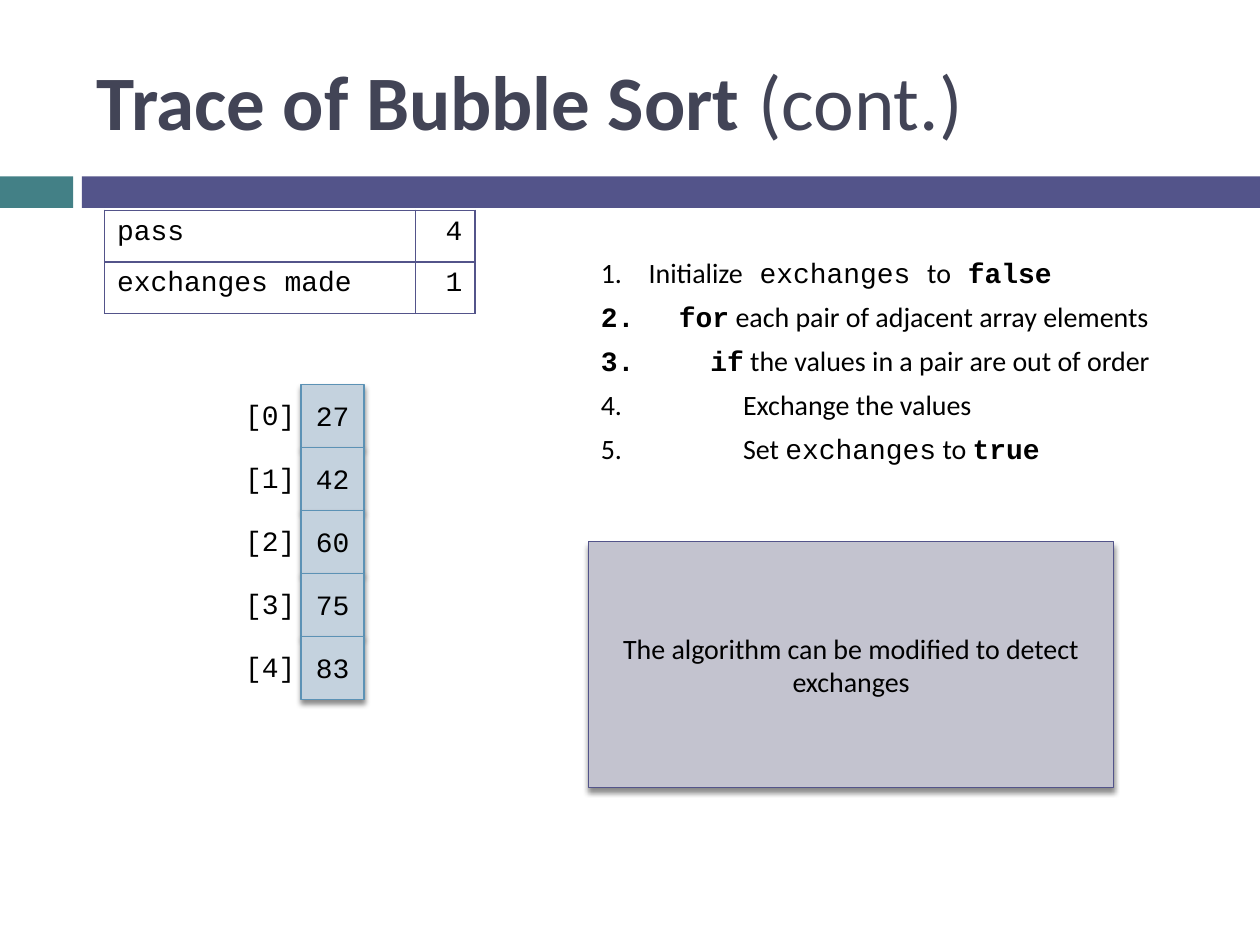
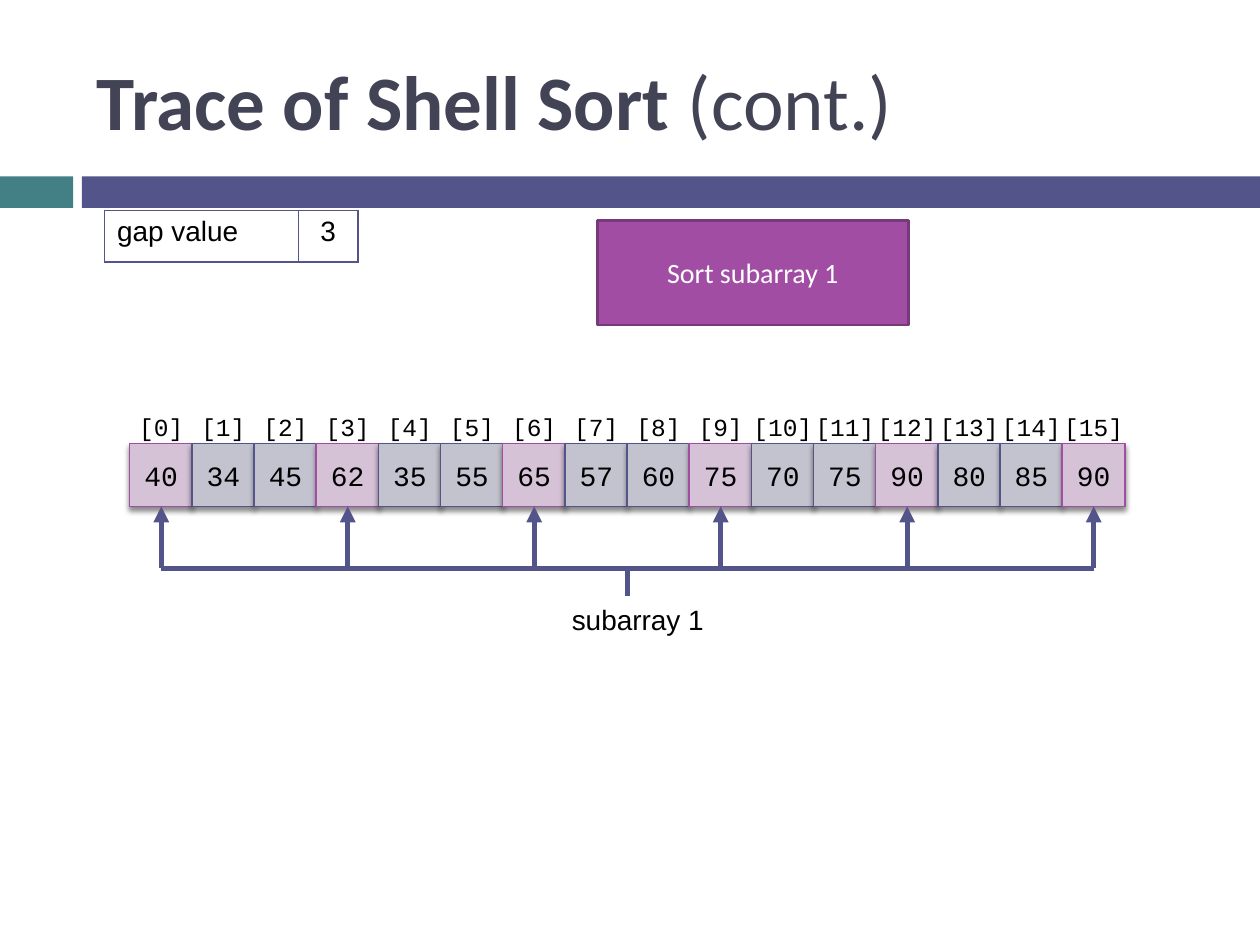
from lxml import etree
from pptx import Presentation
from pptx.dml.color import RGBColor
from pptx.enum.shapes import MSO_CONNECTOR as CONNECTOR, MSO_SHAPE as SHAPE
from pptx.enum.text import MSO_ANCHOR as ANCHOR, PP_ALIGN as ALIGN
from pptx.oxml.ns import qn
from pptx.util import Inches, Pt

rgb = RGBColor.from_string

INDIGO, TEAL, PURPLE = "53548A", "438086", "A04DA3"
DARK_PURPLE, BLUE, SLATE = "763979", "5C92B5", "424456"
PALE_INDIGO, PALE_PURPLE, PALE_BLUE = "C3C3CF", "D6C2D7", "C4D2DE"
BLACK, WHITE = "000000", "FFFFFF"
SANS, BODY, CODE = "Arial", "Calibri", "Courier New"
CELL = 0.5


def write(paragraph, *pieces, size=16, font=BODY, color=BLACK, bold=False, align=ALIGN.LEFT):
    """Add each piece as a run; a piece is a text or (text, font, bold)."""
    paragraph.alignment = align
    for piece in pieces:
        text, face, heavy = (piece, font, bold) if isinstance(piece, str) else piece
        run = paragraph.add_run()
        run.text = text
        run.font.size = Pt(size)
        run.font.name = face
        run.font.bold = heavy
        run.font.color.rgb = rgb(color)


def add_box(slide, left, top, width, height, *pieces, fill=None, line=None, line_width=0.79,
            shadow=False, anchor=ANCHOR.MIDDLE, **text_format):
    """Add a filled rectangle, or a text box when there is no fill."""
    place = [Inches(n) for n in (left, top, width, height)]
    if fill:
        box = slide.shapes.add_shape(SHAPE.RECTANGLE, *place)
        box.fill.solid()
        box.fill.fore_color.rgb = rgb(fill)
        box.shadow.inherit = False
        if line:
            box.line.color.rgb = rgb(line)
            box.line.width = Pt(line_width)
        else:
            box.line.fill.background()
        if shadow:
            effects = box._element.spPr.find(qn("a:effectLst"))
            outer = etree.SubElement(effects, qn("a:outerShdw"), blurRad=str(Pt(3)),
                                     dist=str(Pt(2.4)), dir="5400000", rotWithShape="0")
            black = etree.SubElement(outer, qn("a:srgbClr"), val=BLACK)
            etree.SubElement(black, qn("a:alpha"), val="45000")
    else:
        box = slide.shapes.add_textbox(*place)
    box.text_frame.word_wrap = True
    box.text_frame.vertical_anchor = anchor
    write(box.text_frame.paragraphs[0], *pieces, **text_format)
    return box


deck = Presentation()
deck.slide_width, deck.slide_height = Inches(10), Inches(7.5)

# Title, bands and table of variables on both slides
slides = []
for topic, variables, name_width, font, value_align in [
    ("Trace of Bubble Sort ", [("pass", "4"), ("exchanges made", "1")], 2.47, CODE, ALIGN.RIGHT),
    ("Trace of Shell Sort ", [("gap value", "3")], 1.54, SANS, ALIGN.CENTER),
]:
    slide = deck.slides.add_slide(deck.slide_layouts[6])
    slides.append(slide)
    add_box(slide, 0, 1.4, 0.58, 0.25, fill=TEAL)
    add_box(slide, 0.65, 1.4, 9.35, 0.25, fill=INDIGO)
    add_box(slide, 0.67, 0.25, 8.92, 1.08, (topic, BODY, True), "(cont.)", size=44, color=SLATE)

    value_width, row_height = 0.47, 0.41
    table = slide.shapes.add_table(
        len(variables), 2, Inches(0.83), Inches(1.67),
        Inches(name_width + value_width), Inches(row_height * len(variables))).table
    table.first_row = table.horz_banding = False
    table.columns[0].width, table.columns[1].width = Inches(name_width), Inches(value_width)
    for row, variable in enumerate(variables):
        for column, align in enumerate((ALIGN.LEFT, value_align)):
            cell = table.cell(row, column)
            write(cell.text_frame.paragraphs[0], variable[column], font=font, align=align)
            borders = cell._tc.get_or_add_tcPr()
            for side in ("a:lnL", "a:lnR", "a:lnT", "a:lnB"):
                edge = etree.SubElement(borders, qn(side), w=str(Pt(1)))
                solid = etree.SubElement(edge, qn("a:solidFill"))
                etree.SubElement(solid, qn("a:srgbClr"), val=INDIGO)
            cell.fill.background()

bubble, shell = slides

# Bubble sort: numbered steps
steps = [
    (0.38, ["Initialize", (" exchanges ", CODE, False), "to", (" false", CODE, True)]),
    (0.62, [("for", CODE, True), " each pair of adjacent array elements"]),
    (0.87, [("if", CODE, True), " the values in a pair are out of order"]),
    (1.13, ["Exchange the values"]),
    (1.13, ["Set ", ("exchanges", CODE, False), " to ", ("true", CODE, True)]),
]
algorithm = add_box(bubble, 4.67, 1.98, 5.17, 2.14, anchor=ANCHOR.TOP).text_frame
for number, (indent, pieces) in enumerate(steps):
    step = algorithm.add_paragraph() if number else algorithm.paragraphs[0]
    write(step, *pieces)
    step.space_after = Pt(6)
    numbering = step._p.get_or_add_pPr()
    numbering.set("marL", str(Inches(indent)))
    numbering.set("indent", str(-Inches(indent)))
    etree.SubElement(numbering, qn("a:buAutoNum"), type="arabicPeriod")

# Bubble sort: array from top to bottom
for index, value in enumerate([27, 42, 60, 75, 83]):
    top = 3.05 + CELL * index
    add_box(bubble, 2.39, top, CELL, CELL, str(value), fill=PALE_BLUE, line=BLUE,
            shadow=True, font=CODE, align=ALIGN.CENTER)
    add_box(bubble, 1.78, top + 0.06, 0.73, 0.37, f"[{index}]",
            anchor=ANCHOR.TOP, font=CODE, align=ALIGN.CENTER)

add_box(bubble, 4.67, 4.3, 4.17, 1.95, "The algorithm can be modified to detect exchanges",
        fill=PALE_INDIGO, line=INDIGO, shadow=True, align=ALIGN.CENTER)

# Shell sort: array from left to right, every third cell in subarray 1
gap, pitch, label_width = 3, 7.4 / 15, 0.8
values = [40, 34, 45, 62, 35, 55, 65, 57, 60, 75, 70, 75, 90, 80, 85, 90]
centers = [1.28 + pitch * index for index in range(len(values))]
for index, (value, center) in enumerate(zip(values, centers)):
    fill, line = (PALE_INDIGO, INDIGO) if index % gap else (PALE_PURPLE, PURPLE)
    add_box(shell, center - CELL / 2, 3.52, CELL, CELL, str(value), fill=fill, line=line,
            shadow=True, font=CODE, align=ALIGN.CENTER)
    add_box(shell, center - label_width / 2, 3.22, label_width, 0.34, f"[{index}]",
            anchor=ANCHOR.TOP, size=14, font=CODE, align=ALIGN.CENTER)

add_box(shell, 4.74, 1.75, 2.47, 0.83, "Sort subarray 1", fill=PURPLE, line=DARK_PURPLE,
        line_width=1.5, color=WHITE, align=ALIGN.CENTER)
add_box(shell, 4.44, 4.73, 3.56, 0.37, "subarray 1", anchor=ANCHOR.TOP, font=SANS)

# Shell sort: bracket with an arrow to each cell of the subarray
members = centers[::gap]
bar, middle = 4.51, (members[0] + members[-1]) / 2
bracket = [(x, 4.02, x, bar, True) for x in members]
bracket += [(members[0], bar, members[-1], bar, False), (middle, bar, middle, 4.73, False)]
for x1, y1, x2, y2, has_arrow in bracket:
    stroke = shell.shapes.add_connector(
        CONNECTOR.STRAIGHT, Inches(x1), Inches(y1), Inches(x2), Inches(y2))
    stroke.line.color.rgb = rgb(INDIGO)
    stroke.line.width = Pt(3)
    if has_arrow:
        etree.SubElement(stroke.line._get_or_add_ln(), qn("a:headEnd"), type="triangle")
    etree.SubElement(stroke._element.spPr, qn("a:effectLst"))

deck.save("out.pptx")
